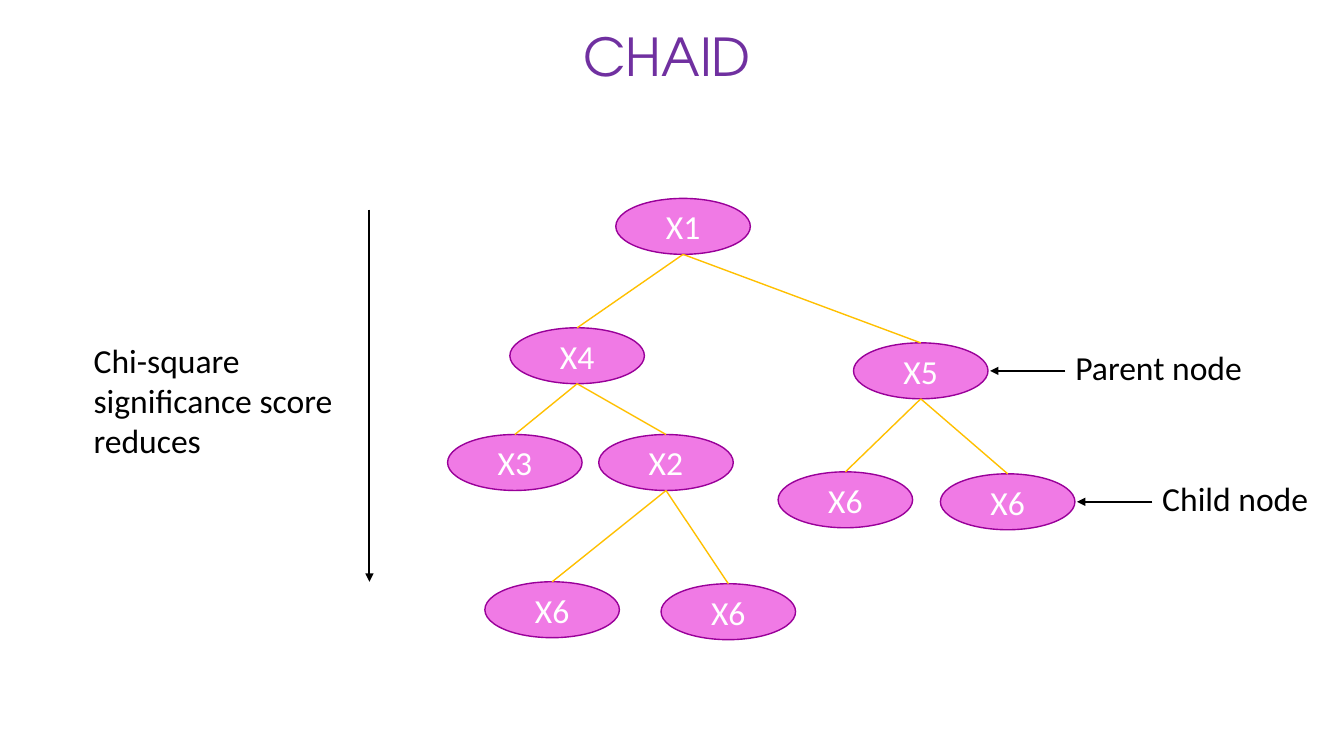
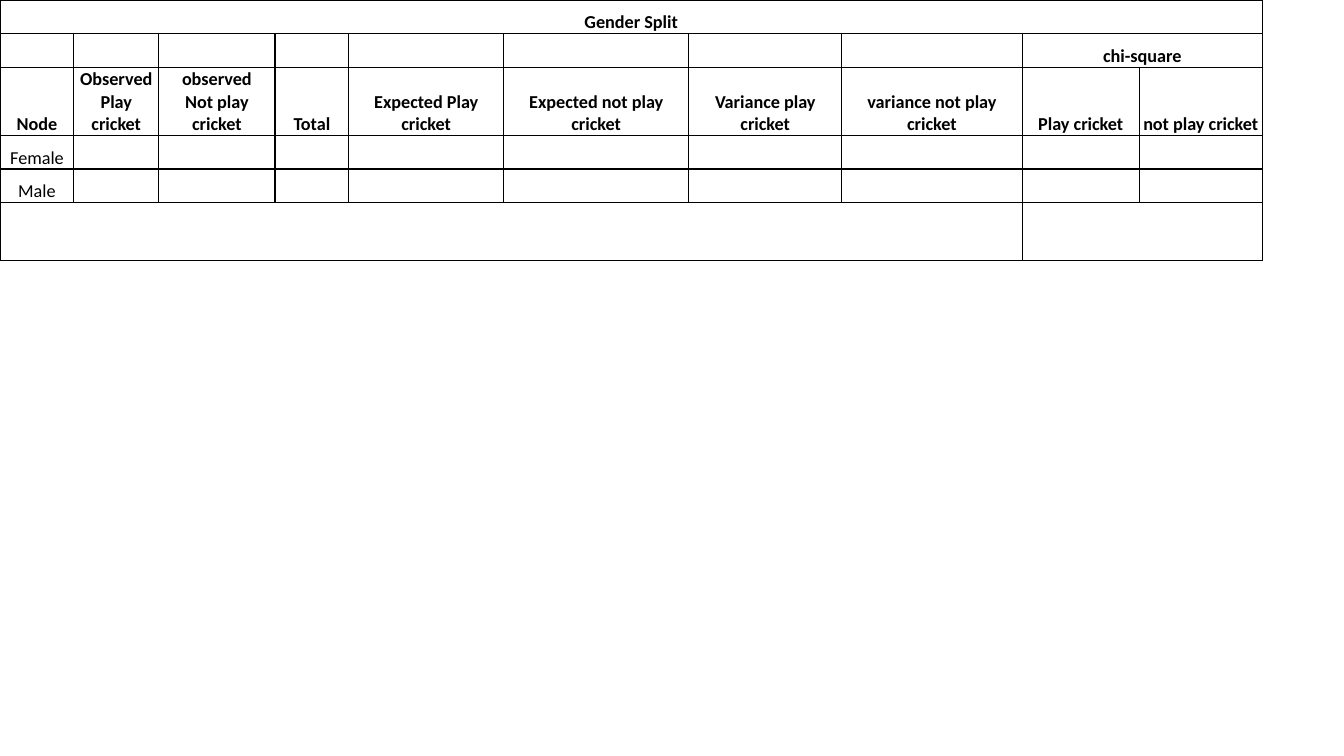
from lxml import etree
from pptx import Presentation
from pptx.dml.color import RGBColor
from pptx.enum.shapes import MSO_CONNECTOR, MSO_SHAPE
from pptx.enum.text import MSO_ANCHOR, MSO_AUTO_SIZE, PP_ALIGN
from pptx.oxml.ns import qn
from pptx.util import Cm, Pt

STRAIGHT = MSO_CONNECTOR.STRAIGHT
OVAL = MSO_SHAPE.OVAL
MIDDLE, BOTTOM = MSO_ANCHOR.MIDDLE, MSO_ANCHOR.BOTTOM
CENTER = PP_ALIGN.CENTER
GROW = MSO_AUTO_SIZE.SHAPE_TO_FIT_TEXT

PURPLE, PINK, PLUM, GOLD = "7030A0", "F07AE5", "990099", "FFC000"
BLACK, WHITE = "000000", "FFFFFF"

TITLE_FONT = {"name": "TeX Gyre Adventor", "size": Pt(37.3)}
BODY_FONT = {"name": "Calibri", "size": Pt(24)}
HEADER_FONT = {"name": "Calibri", "size": Pt(13), "bold": True}
CELL_FONT = {**HEADER_FONT, "bold": False}
CELL_FORMAT = {
    "vertical_anchor": BOTTOM,
    "margin_left": Cm(0.03),
    "margin_right": Cm(0.03),
    "margin_top": Cm(0.03),
    "margin_bottom": 0,
}
PLAIN_TABLE = {"first_row": False, "horz_banding": False}

NODE_WIDTH, NODE_HEIGHT = 3.39, 1.41
NODES = {
    "root": ("X1", 4.24, 0),
    "left": ("X4", 1.57, 3.26),
    "right": ("X5", 10.23, 3.64),
    "left_first": ("X3", 0, 5.95),
    "left_second": ("X2", 3.81, 5.95),
    "right_first": ("X6", 8.33, 6.89),
    "right_second": ("X6", 12.42, 6.94),
    "leaf_first": ("X6", 0.94, 9.66),
    "leaf_second": ("X6", 5.38, 9.71),
}
BRANCHES = {
    "root": ("left", "right"),
    "left": ("left_first", "left_second"),
    "right": ("right_first", "right_second"),
    "left_second": ("leaf_first", "leaf_second"),
}
CALLOUTS = [("right", "Parent node", 6.78), ("right_second", "Child node", 4.8)]

COLUMN_WIDTHS = [1.86, 2.14, 2.93, 1.86, 3.9, 4.67, 3.85, 4.55, 2.95, 3.1]
ROW_HEIGHTS = [0.85, 0.85, 1.7, 0.85, 0.85, 1.46]
HEADERS = [
    "Node", "Observed\nPlay cricket", "observed\nNot play cricket", "Total",
    "Expected Play cricket", "Expected not play cricket",
    "Variance play cricket", "variance not play cricket",
    "Play cricket", "not play cricket",
]
CELL_TEXTS = {
    (0, 0): "Gender Split",
    (1, 8): "chi-square",
    **{(2, column): text for column, text in enumerate(HEADERS)},
    (3, 0): "Female",
    (4, 0): "Male",
}
MERGES = [(0, 0, 9), (1, 8, 9), (5, 0, 7), (5, 8, 9)]


def color(value):
    """Turn a hex string into a colour."""
    return RGBColor.from_string(value)


def set_values(target, values):
    """Set each named attribute of the target."""
    for name, value in values.items():
        setattr(target, name, value)


def write_text(frame, text, font_values, font_color, alignment=None):
    """Write one paragraph per line of text in one style."""
    frame.text = text
    for paragraph in frame.paragraphs:
        paragraph.alignment = alignment
        for run in paragraph.runs:
            set_values(run.font, font_values)
            run.font.color.rgb = color(font_color)


def add_label(slide, box, text, font_values=BODY_FONT, font_color=BLACK, wrap=True):
    """Add a text box that grows with its text."""
    shape = slide.shapes.add_textbox(*map(Cm, box))
    write_text(shape.text_frame, text, font_values, font_color)
    set_values(shape.text_frame, {"word_wrap": wrap, "auto_size": GROW})


def add_line(slide, start, end, line_color, width, arrow=False):
    """Draw a straight line, with an arrowhead at its end if asked."""
    connector = slide.shapes.add_connector(STRAIGHT, *map(Cm, (*start, *end)))
    connector.line.color.rgb = color(line_color)
    connector.line.width = Pt(width)
    properties = connector._element.spPr
    if arrow:
        etree.SubElement(properties.find(qn("a:ln")), qn("a:tailEnd"), type="triangle")
    etree.SubElement(properties, qn("a:effectLst"))


def add_node(slide, left, top, text):
    """Draw one oval node of the tree."""
    shape = slide.shapes.add_shape(OVAL, *map(Cm, (left, top, NODE_WIDTH, NODE_HEIGHT)))
    shape.shadow.inherit = False
    shape.fill.solid()
    shape.fill.fore_color.rgb = color(PINK)
    shape.line.color.rgb = color(PLUM)
    shape.line.width = Pt(1)
    shape.text_frame.vertical_anchor = MIDDLE
    write_text(shape.text_frame, text, BODY_FONT, WHITE, CENTER)


def add_callout(slide, left, top, text, label_width):
    """Point from a label to the right side of the node at left and top."""
    tip = left + NODE_WIDTH + 0.05
    middle = top + NODE_HEIGHT / 2
    add_line(slide, (tip + 1.9, middle), (tip, middle), BLACK, 1.5, arrow=True)
    add_label(slide, (tip + 1.9, middle - 0.72, label_width, 1.27), text)


def add_tree(slide, left, top):
    """Draw the nodes, branches and callouts of the decision tree."""
    corners = {key: (left + x, top + y) for key, (_, x, y) in NODES.items()}
    for key, corner in corners.items():
        add_node(slide, *corner, NODES[key][0])
    for parent, children in BRANCHES.items():
        x, y = corners[parent]
        start = (x + NODE_WIDTH / 2, y + NODE_HEIGHT)
        for child in children:
            x, y = corners[child]
            add_line(slide, start, (x + NODE_WIDTH / 2, y), GOLD, 1)
    for key, text, label_width in CALLOUTS:
        add_callout(slide, *corners[key], text, label_width)


def add_scale(slide, left, top, height):
    """Draw the downward arrow and its label to the left."""
    add_line(slide, (left + 7.2, top), (left + 7.2, top + height), BLACK, 1.5, arrow=True)
    add_label(slide, (left, top + 3.15, 6.78, 3.33), "Chi-square significance score reduces")


def format_cell(cell):
    """Give a cell black borders, a white fill and narrow margins."""
    set_values(cell, CELL_FORMAT)
    properties = cell._tc.get_or_add_tcPr()
    for side in ("lnL", "lnR", "lnT", "lnB"):
        line = etree.SubElement(properties, qn(f"a:{side}"), w=str(Pt(1)))
        fill = etree.SubElement(line, qn("a:solidFill"))
        etree.SubElement(fill, qn("a:srgbClr"), val=BLACK)
    cell.fill.solid()
    cell.fill.fore_color.rgb = color(WHITE)


def add_split_table(slide, left, top):
    """Build the gender split table."""
    size = (sum(COLUMN_WIDTHS), sum(ROW_HEIGHTS))
    table = slide.shapes.add_table(
        len(ROW_HEIGHTS), len(COLUMN_WIDTHS), *map(Cm, (left, top, *size))
    ).table
    set_values(table, PLAIN_TABLE)
    for column, width in zip(table.columns, COLUMN_WIDTHS):
        column.width = Cm(width)
    for row, height in zip(table.rows, ROW_HEIGHTS):
        row.height = Cm(height)
    for cell in table.iter_cells():
        format_cell(cell)
    for row, first, last in MERGES:
        table.cell(row, first).merge(table.cell(row, last))
    for (row, column), text in CELL_TEXTS.items():
        font_values = HEADER_FONT if row < 3 else CELL_FONT
        write_text(table.cell(row, column).text_frame, text, font_values, BLACK, CENTER)


def build_tree_slide(slide):
    """Build the slide with the decision tree."""
    add_label(slide, (14.45, 0.48, 4.78, 1.85), "CHAID", TITLE_FONT, PURPLE, wrap=False)
    add_tree(slide, 11.28, 5)
    add_scale(slide, 2.11, 5.28, 9.38)


def build_table_slide(slide):
    """Build the slide with the gender split table."""
    add_split_table(slide, 0, 0)


def main():
    """Build and save the presentation."""
    presentation = Presentation()
    set_values(presentation, {"slide_width": Cm(33.87), "slide_height": Cm(19.05)})
    for build in (build_tree_slide, build_table_slide):
        build(presentation.slides.add_slide(presentation.slide_layouts[6]))
    presentation.save("out.pptx")


if __name__ == "__main__":
    main()
